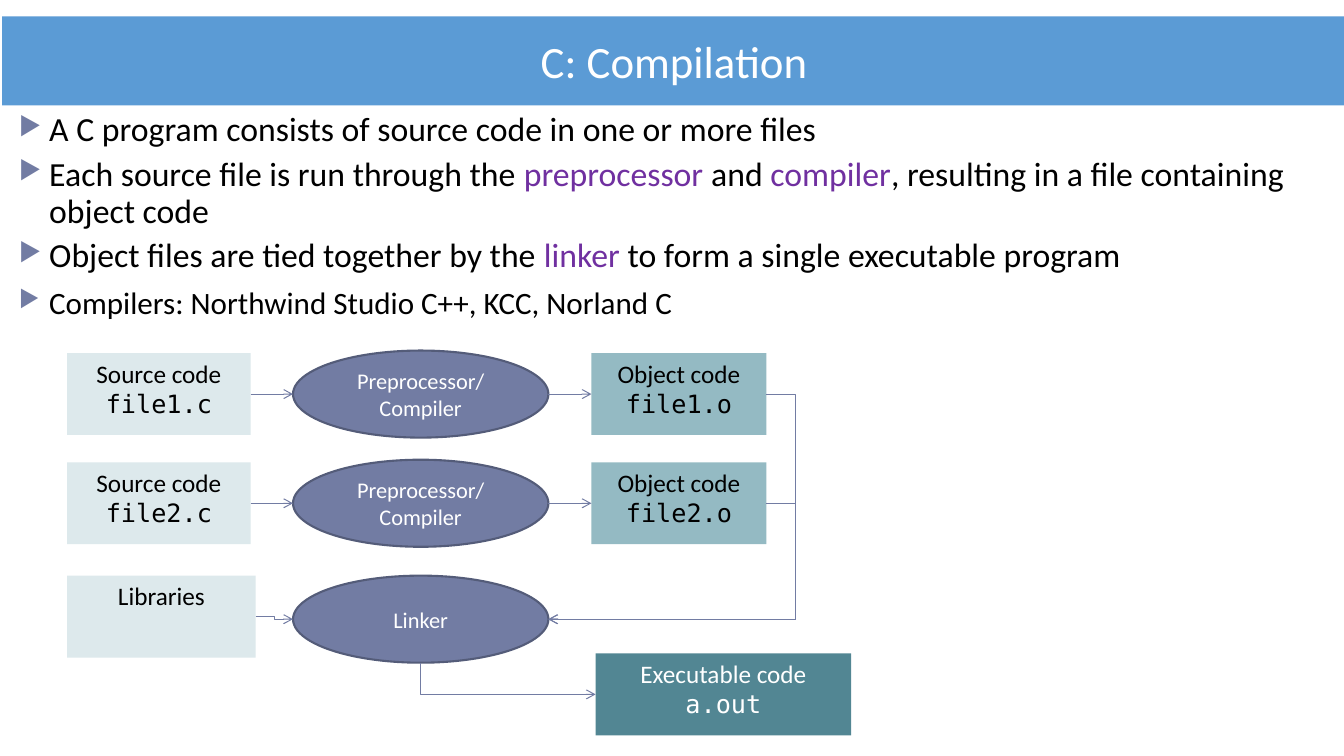
from lxml import etree
from pptx import Presentation
from pptx.dml.color import RGBColor
from pptx.enum import shapes, text
from pptx.oxml import ns
from pptx.util import Pt

TITLE = "C: Compilation"
BULLETS = [
    (24.1, 0.9, ["A C program consists of source code in one or more files"]),
    (24.1, 0.9, ["Each source file is run through the ", "*preprocessor", " and ",
                 "*compiler", ", resulting in a file containing object code"]),
    (24.1, 0.9, ["Object files are tied together by the ", "*linker",
                 " to form a single executable program"]),
    (22.2, 1, ["Compilers: Northwind Studio C++, KCC, Norland C"]),
]
FILES = ["file1", "file2"]
COLORS = {
    "title": "5B9BD5", "black": "000000", "white": "FFFFFF", "term": "7030A0",
    "step": "727CA3", "edge": "545C79", "source": "DDE9EC", "object": "94BAC3",
    "executable": "528693",
}
SANS, MONO = "Calibri", "DejaVu Sans Mono"

SOURCE_X, SOURCE_W = 48, 131
STEP_X, STEP_W, STEP_H = 209.3, 182.4, 62.2
OBJECT_X, OBJECT_W = 422.5, 125
BOX_H = 58.5
ROW_Y, ROW_PITCH = 281.5, 78
LINKER_Y, LIBRARIES_Y, EXECUTABLE_Y = 442.3, 440.5, 496
LIBRARIES_W, EXECUTABLE_X = 134.7, 425.5
BUS_X = 568

prs = Presentation()
prs.slide_width, prs.slide_height = Pt(960), Pt(540)
s = prs.slides.add_slide(prs.slide_layouts[6])


def rgb(name):
    return RGBColor.from_string(COLORS[name])


def write(p, words, size=18, font=SANS, color="black", align=None):
    p.alignment = align
    r = p.add_run()
    r.text = words
    r.font.size, r.font.name = Pt(size), font
    r.font.color.rgb = rgb(color)


def box(kind, x, mid_y, w, h, fill, lines, size=18, color="black",
        anchor=text.MSO_ANCHOR.TOP, edge=None):
    sp = s.shapes.add_shape(kind, Pt(x), Pt(mid_y - h / 2), Pt(w), Pt(h))
    sp.shadow.inherit = False
    sp.fill.solid()
    sp.fill.fore_color.rgb = rgb(fill)
    if edge:
        sp.line.color.rgb = rgb(edge)
        sp.line.width = Pt(1.5)
    else:
        sp.line.fill.background()
    tf = sp.text_frame
    tf.vertical_anchor = anchor
    for i, (words, font) in enumerate(lines):
        p = tf.add_paragraph() if i else tf.paragraphs[0]
        write(p, words, size, font, color, text.PP_ALIGN.CENTER)
    return sp


def rect(x, mid_y, w, fill, label, name=None, color="black"):
    lines = [(label, SANS)] + ([(name, MONO)] if name else [])
    return box(shapes.MSO_SHAPE.RECTANGLE, x, mid_y, w, BOX_H, fill, lines, color=color)


def step(mid_y, *labels):
    return box(shapes.MSO_SHAPE.OVAL, STEP_X, mid_y, STEP_W, STEP_H, "step",
               [(label, SANS) for label in labels], size=16, color="white",
               anchor=text.MSO_ANCHOR.MIDDLE, edge="edge")


def arrow(start, end, kind=shapes.MSO_CONNECTOR.STRAIGHT, begin=None, finish=None,
          tip="tailEnd", preset=None, bend=None):
    c = s.shapes.add_connector(kind, *(Pt(v) for v in start + end))
    if begin:
        c.begin_connect(*begin)
    if finish:
        c.end_connect(*finish)
    c.line.color.rgb = rgb("step")
    c.line.width = Pt(0.75)
    etree.SubElement(c.line._get_or_add_ln(), ns.qn("a:" + tip), type="arrow")
    etree.SubElement(c._element.spPr, ns.qn("a:effectLst"))
    geom = c._element.spPr.find(ns.qn("a:prstGeom"))
    if preset:
        geom.set("prst", preset)
    if bend is not None:
        guides = geom.find(ns.qn("a:avLst"))
        etree.SubElement(guides, ns.qn("a:gd"), name="adj1", fmla=f"val {round(bend * 100000)}")


box(shapes.MSO_SHAPE.RECTANGLE, 1.5, 43.5, 960, 63.5, "title", [(TITLE, SANS)],
    size=32, color="white", anchor=text.MSO_ANCHOR.MIDDLE)

body = s.shapes.add_textbox(Pt(6.5), Pt(77), Pt(925), Pt(156))
tf = body.text_frame
tf.word_wrap = True
for i, (size, spacing, parts) in enumerate(BULLETS):
    p = tf.add_paragraph() if i else tf.paragraphs[0]
    p.line_spacing, p.space_before = spacing, Pt(6)
    pPr = p._p.get_or_add_pPr()
    pPr.set("marL", str(Pt(21.6)))
    pPr.set("indent", str(Pt(-21.6)))
    bullet_color = etree.SubElement(pPr, ns.qn("a:buClr"))
    etree.SubElement(bullet_color, ns.qn("a:srgbClr"), val=COLORS["step"])
    etree.SubElement(pPr, ns.qn("a:buSzPct"), val="76000")
    etree.SubElement(pPr, ns.qn("a:buChar"), char="▶")
    for part in parts:
        write(p, part.lstrip("*"), size, color="term" if part.startswith("*") else "black")

step_right = STEP_X + STEP_W
elbow = shapes.MSO_CONNECTOR.ELBOW
object_right = OBJECT_X + OBJECT_W
bus_bend = (object_right - BUS_X) / (object_right - step_right)

step(LINKER_Y, "Linker")
for i, name in enumerate(FILES):
    y = ROW_Y + i * ROW_PITCH
    source = rect(SOURCE_X, y, SOURCE_W, "source", "Source code", name + ".c")
    step(y, "Preprocessor/", "Compiler")
    obj = rect(OBJECT_X, y, OBJECT_W, "object", "Object code", name + ".o")
    arrow((SOURCE_X + SOURCE_W, y), (STEP_X, y), begin=(source, 3))
    arrow((step_right, y), (OBJECT_X, y), finish=(obj, 1))
    arrow((object_right, y), (step_right, LINKER_Y), elbow, begin=(obj, 3), bend=bus_bend)

libraries = rect(SOURCE_X, LIBRARIES_Y, LIBRARIES_W, "source", "Libraries")
arrow((SOURCE_X + LIBRARIES_W, LIBRARIES_Y), (STEP_X, LINKER_Y), elbow, begin=(libraries, 3))
executable = rect(EXECUTABLE_X, EXECUTABLE_Y, STEP_W, "executable", "Executable code",
                  "a.out", color="white")
arrow((EXECUTABLE_X, EXECUTABLE_Y), (STEP_X + STEP_W / 2, LINKER_Y + STEP_H / 2), elbow,
      begin=(executable, 1), tip="headEnd", preset="bentConnector2")

prs.save("out.pptx")
